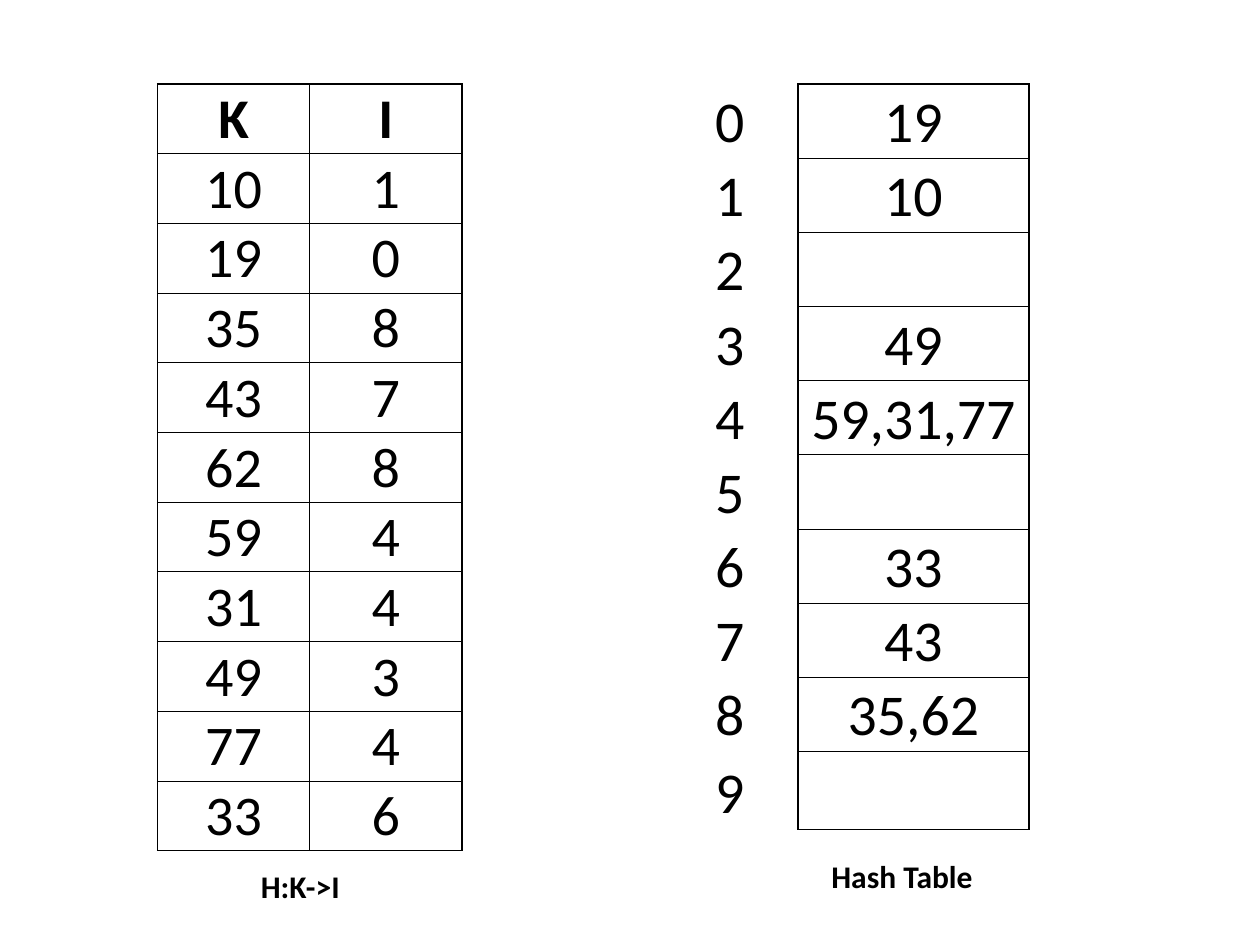
from lxml import etree
from pptx import Presentation
from pptx.dml.color import RGBColor
from pptx.enum.text import MSO_ANCHOR, MSO_AUTO_SIZE, PP_ALIGN
from pptx.oxml.ns import qn
from pptx.util import Pt

CENTER = PP_ALIGN.CENTER
BOTTOM = MSO_ANCHOR.BOTTOM
FIT_SHAPE = MSO_AUTO_SIZE.SHAPE_TO_FIT_TEXT

COLORS = {"ink": "000000"}
FONT = "Calibri"
THIN, THICK = 0.5, 1

HASH_FUNCTION = [
    ("K", "I"), ("10", "1"), ("19", "0"), ("35", "8"), ("43", "7"),
    ("62", "8"), ("59", "4"), ("31", "4"), ("49", "3"), ("77", "4"),
    ("33", "6"),
]
BUCKETS = ["19", "10", "", "49", "59,31,77", "", "33", "43", "35,62", ""]


def add_run(paragraph, text, size, bold=False):
    run = paragraph.add_run()
    run.text = text
    run.font.name = FONT
    run.font.size = Pt(size)
    run.font.bold = bold
    run.font.color.rgb = RGBColor.from_string(COLORS["ink"])


def set_borders(cell, widths):
    properties = cell._tc.get_or_add_tcPr()
    for position, (side, width) in enumerate(zip("LRTB", widths)):
        line = etree.Element(qn(f"a:ln{side}"))
        if width:
            line.set("w", str(Pt(width)))
            fill = etree.SubElement(line, qn("a:solidFill"))
            etree.SubElement(fill, qn("a:srgbClr"), val=COLORS["ink"])
        else:
            etree.SubElement(line, qn("a:noFill"))
        properties.insert(position, line)


def fill_cell(cell, text, size, bold, borders):
    cell.fill.background()
    cell.vertical_anchor = BOTTOM
    cell.margin_left = cell.margin_right = cell.margin_top = Pt(0.7)
    cell.margin_bottom = Pt(0)
    paragraph = cell.text_frame.paragraphs[0]
    paragraph.alignment = CENTER
    if text:
        add_run(paragraph, text, size, bold)
    set_borders(cell, borders)


def add_grid(slide, left, top, column_widths, row_heights, rows, size,
             header=False, boxed_from=0):
    last_row, last_column = len(rows) - 1, len(column_widths) - 1
    table = slide.shapes.add_table(
        len(rows), len(column_widths), Pt(left), Pt(top),
        Pt(sum(column_widths)), Pt(sum(row_heights))).table
    table.first_row = header
    table.horz_banding = False
    for column, width in zip(table.columns, column_widths):
        column.width = Pt(width)
    for r, values in enumerate(rows):
        table.rows[r].height = Pt(row_heights[r])
        for c, text in enumerate(values):
            if c < boxed_from:
                borders = (None, THICK, None, None)
            else:
                borders = (
                    THICK if c == boxed_from else THIN,
                    THICK if c == last_column else THIN,
                    THICK if r == 0 else THIN,
                    THICK if r == last_row else THIN,
                )
            fill_cell(table.cell(r, c), text, size, header and r == 0, borders)


def add_caption(slide, text, left, top, width):
    caption = slide.shapes.add_textbox(Pt(left), Pt(top), Pt(width), Pt(29))
    frame = caption.text_frame
    frame.word_wrap = False
    frame.auto_size = FIT_SHAPE
    add_run(frame.paragraphs[0], text, 18, bold=True)


def main():
    deck = Presentation()
    deck.slide_width, deck.slide_height = Pt(720), Pt(540)
    slide = deck.slides.add_slide(deck.slide_layouts[6])

    add_grid(slide, 90, 48, [87, 87], [39.15] * len(HASH_FUNCTION),
             HASH_FUNCTION, 32, header=True)

    hash_table = [(str(index), keys) for index, keys in enumerate(BUCKETS)]
    add_grid(slide, 378, 48, [78, 132], [42.4] * 9 + [44.6],
             hash_table, 33, boxed_from=1)

    add_caption(slide, "H:K->I", 142, 492, 61)
    add_caption(slide, "Hash Table", 468, 486, 96)
    deck.save("out.pptx")


if __name__ == "__main__":
    main()
